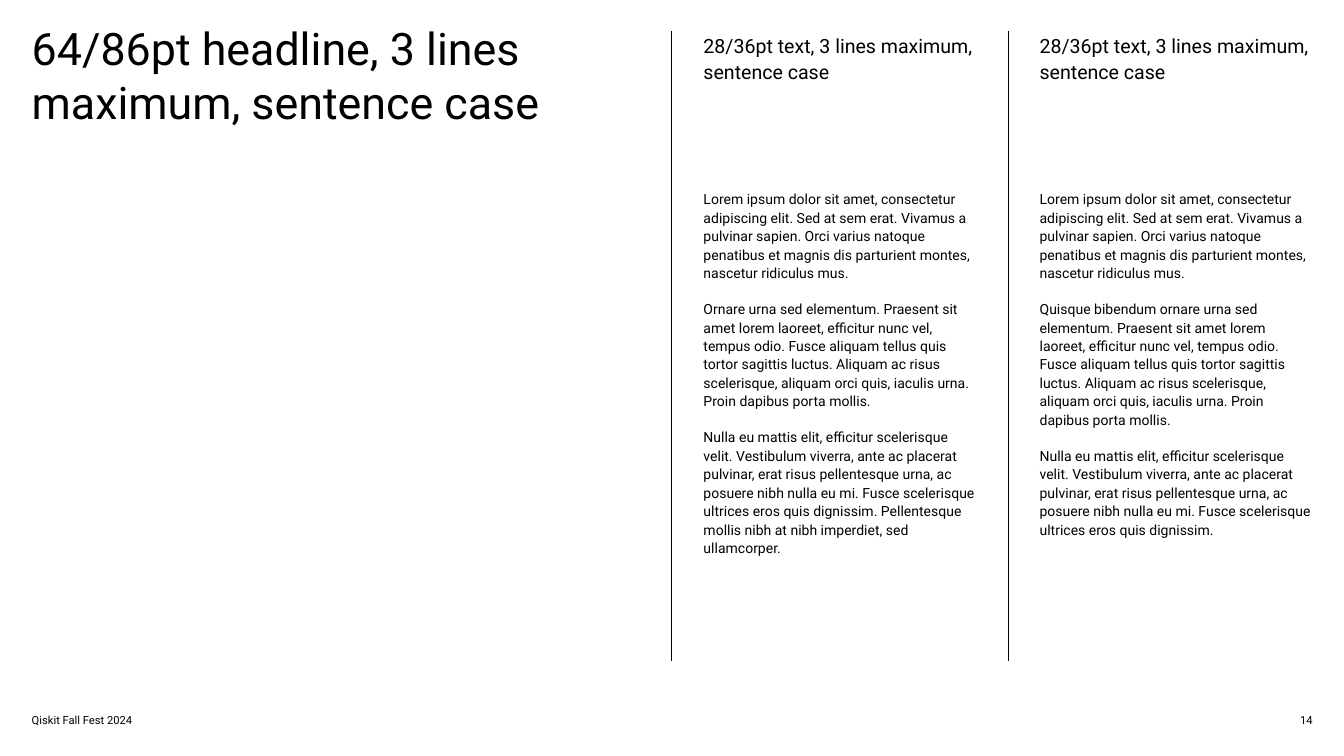
from lxml import etree
from pptx import Presentation
from pptx.dml.color import RGBColor
from pptx.enum import shapes, text
from pptx.oxml.ns import qn
from pptx.util import Inches, Pt

INK = "000000"
MARGIN = 0.63
RULE_TOP, RULE_BOTTOM = 0.62, 13.12
FIRST_RULE, COLUMN_PITCH = 13.33, 6.67
COLUMN_WIDTH = 5.42
PARAGRAPH_GAP = 25

HEADING = "28/36pt text, 3 lines maximum, sentence case"
OPENING = (
    "Lorem ipsum dolor sit amet, consectetur adipiscing elit. Sed at sem erat. "
    "Vivamus a pulvinar sapien. Orci varius natoque penatibus et magnis dis "
    "parturient montes, nascetur ridiculus mus."
)
MIDDLE = (
    "urna sed elementum. Praesent sit amet lorem laoreet, efficitur nunc vel, "
    "tempus odio. Fusce aliquam tellus quis tortor sagittis luctus. Aliquam ac "
    "risus scelerisque, aliquam orci quis, iaculis urna. Proin dapibus porta mollis."
)
CLOSING = (
    "Nulla eu mattis elit, efficitur scelerisque velit. Vestibulum viverra, ante ac "
    "placerat pulvinar, erat risus pellentesque urna, ac posuere nibh nulla eu mi. "
    "Fusce scelerisque ultrices eros quis dignissim."
)
COLUMNS = [
    [OPENING, "Ornare " + MIDDLE,
     CLOSING + " Pellentesque mollis nibh at nibh imperdiet, sed ullamcorper."],
    [OPENING, "Quisque bibendum ornare " + MIDDLE, CLOSING],
]


def color(hex_value):
    return RGBColor.from_string(hex_value)


def apply(target, values):
    for name, value in values.items():
        setattr(target, name, value)


def place(shape, left, top, width, height):
    apply(shape, {"left": Inches(left), "top": Inches(top),
                  "width": Inches(width), "height": Inches(height)})


def write(shape, paragraphs, size, spacing=1.0, align=text.PP_ALIGN.LEFT,
          anchor=text.MSO_ANCHOR.TOP, wrap=True, right_inset=0):
    """Fill a shape with unbulleted paragraphs, separated by the paragraph gap."""
    frame = shape.text_frame
    apply(frame, {"margin_left": 0, "margin_top": 0, "margin_bottom": 0,
                  "margin_right": Inches(right_inset), "word_wrap": wrap,
                  "auto_size": text.MSO_AUTO_SIZE.NONE, "vertical_anchor": anchor})
    for index, words in enumerate(paragraphs):
        paragraph = frame.add_paragraph() if index else frame.paragraphs[0]
        properties = paragraph._p.get_or_add_pPr()
        properties.set("marL", "0")
        properties.set("indent", "0")
        etree.SubElement(properties, qn("a:buNone"))
        apply(paragraph, {"alignment": align, "line_spacing": spacing, "space_after": 0,
                          "space_before": Pt(PARAGRAPH_GAP if index else 0)})
        run = paragraph.add_run()
        run.text = words
        apply(run.font, {"name": "Roboto", "size": Pt(size), "bold": False})
        run.font.color.rgb = color(INK)


def add_column_rule(slide, x):
    rule = slide.shapes.add_connector(
        shapes.MSO_CONNECTOR.STRAIGHT,
        Inches(x), Inches(RULE_TOP), Inches(x), Inches(RULE_BOTTOM))
    rule.line.width = Pt(1)
    rule.line.color.rgb = color(INK)
    etree.SubElement(rule._element.spPr, qn("a:effectLst"))


def fill_column(heading, body, left, paragraphs):
    place(heading, left, MARGIN, COLUMN_WIDTH, 1.67)
    write(heading, [HEADING], 28, spacing=1.1)
    place(body, left, 3.75, COLUMN_WIDTH, 9.38)
    write(body, paragraphs, 20, spacing=1.1)


def add_footer_text(slide, words, left, top, width, height, **layout):
    box = slide.shapes.add_textbox(
        Inches(left), Inches(top), Inches(width), Inches(height))
    write(box, [words], 16, **layout)


def main():
    deck = Presentation()
    apply(deck, {"slide_width": Inches(26.67), "slide_height": Inches(15)})
    slide = deck.slides.add_slide(deck.slide_layouts.get_by_name("Comparison"))

    headline, *column_parts = slide.placeholders
    place(headline, MARGIN, 0.42, 12.07, 5)
    write(headline, ["64/86pt headline, 3 lines maximum, sentence case"], 64,
          right_inset=0.5)

    for number, paragraphs in enumerate(COLUMNS):
        rule_x = FIRST_RULE + number * COLUMN_PITCH
        heading, body = column_parts[2 * number:2 * number + 2]
        add_column_rule(slide, rule_x)
        fill_column(heading, body, rule_x + MARGIN, paragraphs)

    add_footer_text(slide, "Qiskit Fall Fest 2024", MARGIN, 14, COLUMN_WIDTH, 0.42,
                    anchor=text.MSO_ANCHOR.BOTTOM)
    add_footer_text(slide, "14", 25.75, 14.15, 0.3, 0.27, wrap=False,
                    align=text.PP_ALIGN.RIGHT, anchor=text.MSO_ANCHOR.MIDDLE)
    deck.save("out.pptx")


if __name__ == "__main__":
    main()
